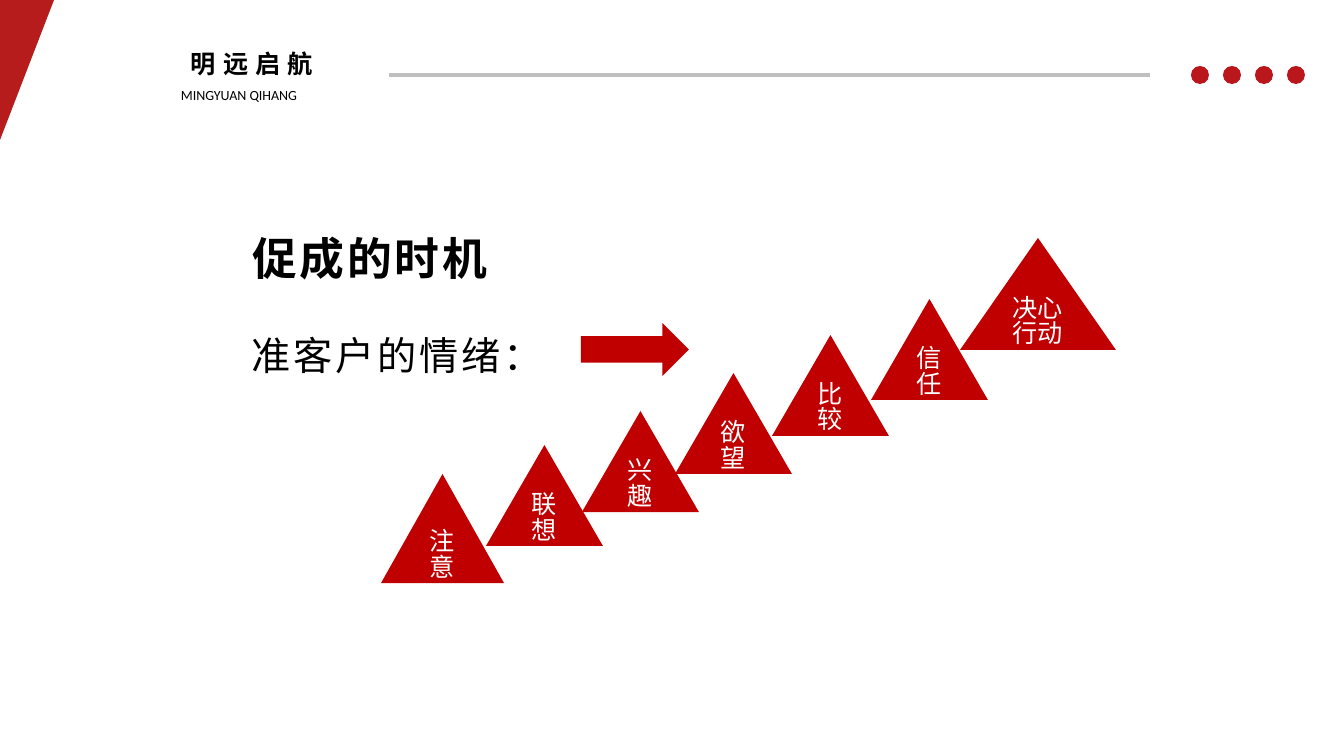
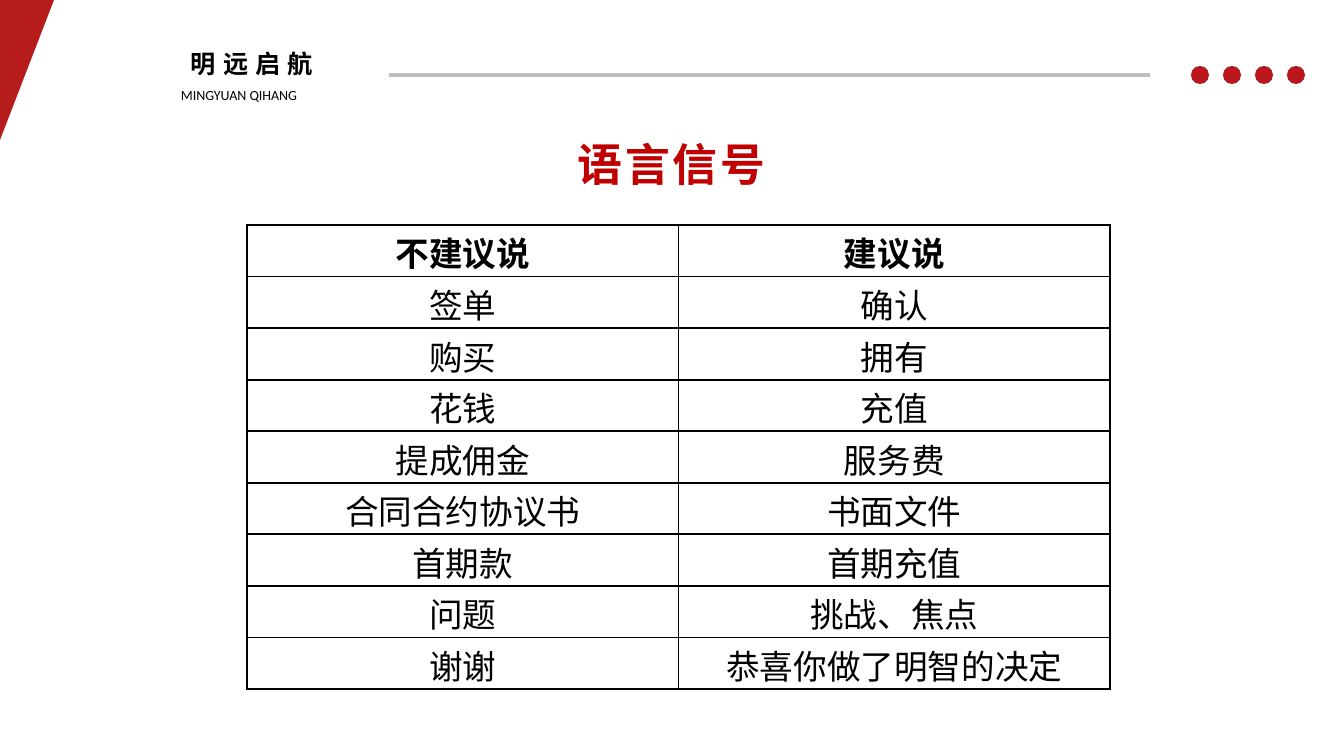
from pptx import Presentation
from pptx.dml.color import RGBColor
from pptx.enum.shapes import MSO_CONNECTOR, MSO_SHAPE
from pptx.enum.text import MSO_ANCHOR as ANCHOR, MSO_AUTO_SIZE, PP_ALIGN as ALIGN
from pptx.oxml.ns import qn
from pptx.util import Emu, Pt
from lxml.etree import SubElement

RED = RGBColor(0xC0, 0x00, 0x00)
CORNER_RED = RGBColor(0xB7, 0x1C, 0x1C)
DOT_RED = RGBColor(0xB9, 0x17, 0x1C)
GREY = RGBColor(0xBF, 0xBF, 0xBF)
BLACK = RGBColor(0x00, 0x00, 0x00)
WHITE = RGBColor(0xFF, 0xFF, 0xFF)
FONT = "Noto Sans CJK SC"
BRAND_FONT = "Noto Sans CJK JP"
LATIN_FONT = "Calibri"
TITLE_ONLY = 5

STEPS = [
    (["注意"], 381, 474, 123, 109),
    (["联想"], 486, 445, 117, 101),
    (["兴趣"], 582, 411, 117, 101),
    (["欲望"], 675, 373, 117, 101),
    (["比较"], 772, 335, 117, 101),
    (["信任"], 871, 299, 117, 101),
    (["决心", "行动"], 960, 238, 156, 112),
]
PHRASES = [
    ("不建议说", "建议说"),
    ("签单", "确认"),
    ("购买", "拥有"),
    ("花钱", "充值"),
    ("提成佣金", "服务费"),
    ("合同合约协议书", "书面文件"),
    ("首期款", "首期充值"),
    ("问题", "挑战、焦点"),
    ("谢谢", "恭喜你做了明智的决定"),
]


def px(n):
    return Emu(round(n * 914400 / 100.8))


def box(*lengths):
    return [px(n) for n in lengths]


def write(tf, lines, size=18, color=BLACK, font=FONT, bold=False,
          align=ALIGN.LEFT, spacing=0, line=1.0):
    for i, text in enumerate(lines):
        p = tf.paragraphs[0] if i == 0 else tf.add_paragraph()
        p.alignment = align
        p.line_spacing = line
        r = p.add_run()
        r.text = text
        r.font.size = Pt(size)
        r.font.bold = bold
        r.font.color.rgb = color
        r.font.name = font
        rPr = r._r.get_or_add_rPr()
        SubElement(rPr, qn("a:ea")).set("typeface", font)
        if spacing:
            rPr.set("spc", str(spacing * 100))


def paint(sp, color):
    sp.shadow.inherit = False
    sp.fill.solid()
    sp.fill.fore_color.rgb = color
    sp.line.fill.background()


def add_shape(slide, kind, x, y, w, h, color):
    sp = slide.shapes.add_shape(kind, *box(x, y, w, h))
    paint(sp, color)
    return sp


def add_text(slide, text, x, y, w, h, **fmt):
    tf = slide.shapes.add_textbox(*box(x, y, w, h)).text_frame
    tf.word_wrap = True
    tf.vertical_anchor = ANCHOR.MIDDLE
    write(tf, [text], **fmt)


def set_title(slide, text, x, y, w, h, **fmt):
    sp = slide.shapes.title
    sp.left, sp.top, sp.width, sp.height = box(x, y, w, h)
    tf = sp.text_frame
    tf.auto_size = MSO_AUTO_SIZE.NONE
    tf.vertical_anchor = ANCHOR.MIDDLE
    write(tf, [text], size=32, bold=True, spacing=2, **fmt)


def add_header(slide):
    outline = slide.shapes.build_freeform(0, 0, scale=px(1))
    outline.add_line_segments([(54, 0), (0, 140)], close=True)
    paint(outline.convert_to_shape(), CORNER_RED)
    add_text(slide, "明远启航", 181, 43, 152, 40,
             font=BRAND_FONT, bold=True, spacing=5)
    add_text(slide, "MINGYUAN QIHANG", 171, 81, 165, 27, size=10, font=LATIN_FONT)
    rule = slide.shapes.add_connector(MSO_CONNECTOR.STRAIGHT, *box(389, 75, 1150, 75))
    rule.line.color.rgb = GREY
    rule.line.width = Pt(2.25)
    SubElement(rule._element.spPr, qn("a:effectLst"))
    for i in range(4):
        add_shape(slide, MSO_SHAPE.OVAL, 1191 + 32 * i, 66, 18, 18, DOT_RED)


def add_step(slide, lines, x, y, w, h):
    tf = add_shape(slide, MSO_SHAPE.ISOSCELES_TRIANGLE, x, y, w, h, RED).text_frame
    tf.word_wrap = True
    tf.vertical_anchor = ANCHOR.BOTTOM
    tf.margin_bottom = px(2)
    write(tf, lines, color=WHITE, align=ALIGN.CENTER, line=0.83)


def set_borders(cell, color, width):
    tcPr = cell._tc.get_or_add_tcPr()
    for i, side in enumerate(("lnL", "lnR", "lnT", "lnB")):
        ln = SubElement(tcPr, qn(f"a:{side}"), w=str(Pt(width)))
        fill = SubElement(ln, qn("a:solidFill"))
        SubElement(fill, qn("a:srgbClr"), val=str(color))
        tcPr.insert(i, ln)


def add_table(slide, rows, x, y, w, h):
    table = slide.shapes.add_table(len(rows), len(rows[0]), *box(x, y, w, h)).table
    table.first_row = table.horz_banding = False
    for i, texts in enumerate(rows):
        for j, text in enumerate(texts):
            cell = table.cell(i, j)
            cell.fill.background()
            cell.vertical_anchor = ANCHOR.MIDDLE
            cell.margin_left = cell.margin_right = px(12)
            cell.margin_top, cell.margin_bottom = px(3), 0
            write(cell.text_frame, [text], size=24, bold=i == 0, align=ALIGN.CENTER)
            set_borders(cell, BLACK, 1.5)


def new_slide(prs):
    slide = prs.slides.add_slide(prs.slide_layouts[TITLE_ONLY])
    add_header(slide)
    return slide


def build_timing(prs):
    slide = new_slide(prs)
    set_title(slide, "促成的时机", 242, 226, 340, 64)
    add_text(slide, "准客户的情绪：", 242, 325, 340, 60, size=28, spacing=2)
    for step in STEPS:
        add_step(slide, *step)
    add_shape(slide, MSO_SHAPE.RIGHT_ARROW, 581, 323, 108, 53, RED)


def build_signals(prs):
    slide = new_slide(prs)
    set_title(slide, "语言信号", 546, 132, 251, 64, color=RED, align=ALIGN.CENTER)
    add_table(slide, PHRASES, 247, 225, 863, 464)


def main():
    prs = Presentation()
    prs.slide_width, prs.slide_height = box(1344, 756)
    build_timing(prs)
    build_signals(prs)
    prs.save("out.pptx")


if __name__ == "__main__":
    main()
